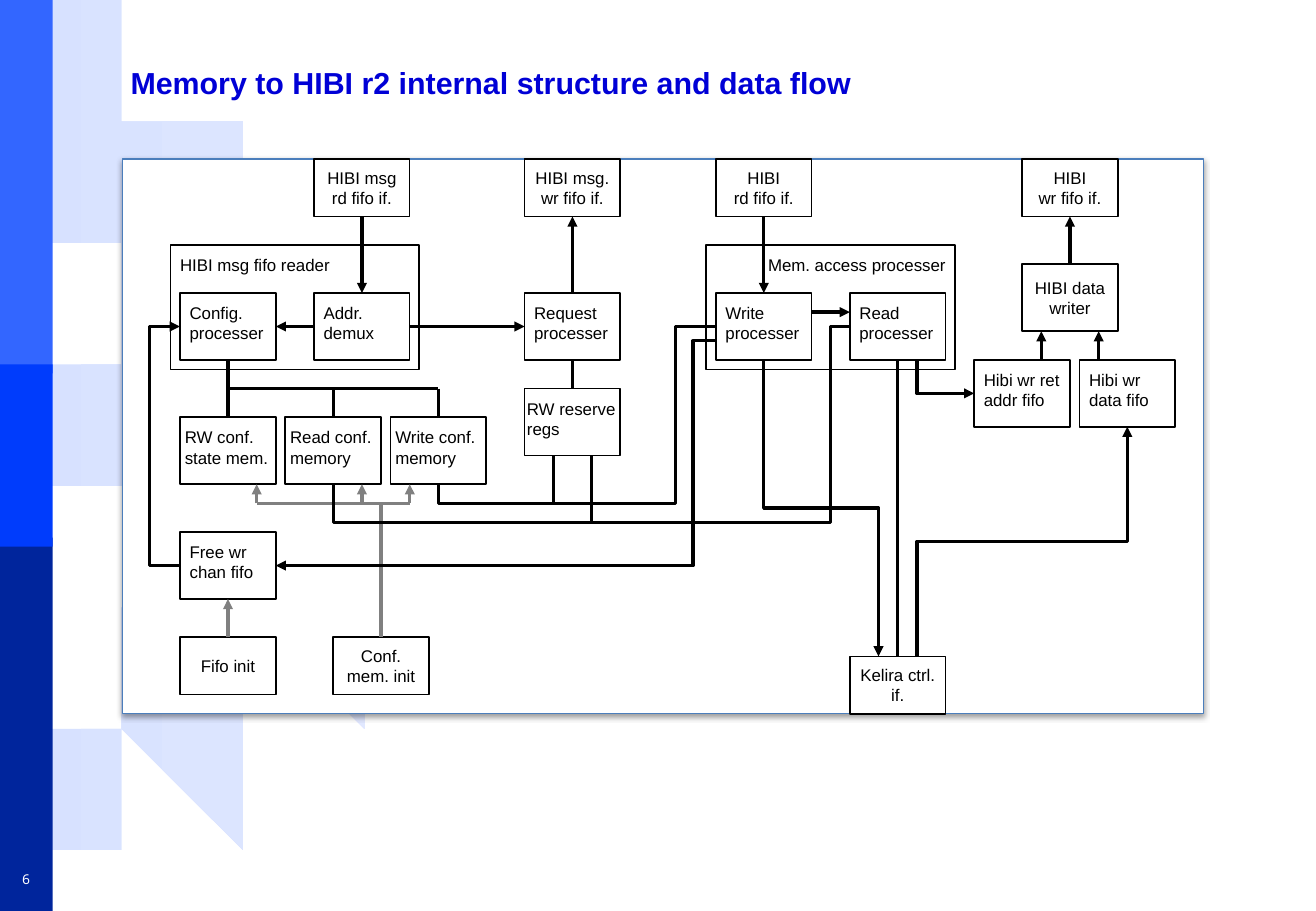
from dataclasses import dataclass

from lxml.etree import SubElement
from pptx import Presentation
from pptx.dml.color import RGBColor as RGB
from pptx.enum.shapes import MSO_CONNECTOR as CONN, MSO_SHAPE as SHAPE
from pptx.enum.text import MSO_ANCHOR as ANCHOR, MSO_AUTO_SIZE as AUTO, PP_ALIGN as ALIGN
from pptx.oxml.ns import qn
from pptx.util import Emu, Inches, Mm, Pt


@dataclass(frozen=True)
class Theme:
    font: str = "Arial"
    mono: str = "Noto Sans Mono"
    title_size: float = 18
    label_size: float = 10
    page_size: float = 8
    title: str = "0000D6"
    ink: str = "000000"
    init: str = "808080"
    paper: str = "FFFFFF"
    panel_line: str = "4B7EBC"
    gear: tuple = ("D7E1FF", "E3EAFF")
    stripes: tuple = ("3366FF", "00259C", "003CFC")


class Deck:
    """Style, current slide and the diagram grid: 2 mm cells from the panel corner."""
    CELL, LEFT, TOP = Mm(2), Inches(1.01), Inches(1.31)

    def __init__(self, prs, theme):
        self.prs, self.th = prs, theme
        self.s = prs.slides.add_slide(prs.slide_layouts[5])

    def x(self, col):
        return Emu(round(self.LEFT + col * self.CELL))

    def y(self, row):
        return Emu(round(self.TOP + row * self.CELL))

    def share(self, left, top, width, height):
        w, h = self.prs.slide_width, self.prs.slide_height
        return [Emu(round(v)) for v in (left * w, top * h, width * w, height * h)]

    def label(self, sp, lines, size, color, font=None, bold=False, align=ALIGN.LEFT, inset=None, **frame):
        tf = sp.text_frame
        if inset is not None:
            across, down = inset, min(1, inset * 4)
            for side, cells in dict(left=across, right=across, top=down, bottom=down).items():
                frame[f"margin_{side}"] = Emu(round(cells * self.CELL))
        for name, value in frame.items():
            setattr(tf, name, value)
        for i, line in enumerate(lines.split("\n")):
            p = tf.paragraphs[0] if i == 0 else tf.add_paragraph()
            p.alignment = align
            r = p.add_run()
            r.text = line
            for name, value in dict(name=font or self.th.font, size=Pt(size), bold=bold).items():
                setattr(r.font, name, value)
            r.font.color.rgb = RGB.from_string(color)

    def title(self, text):
        sp = self.s.shapes.title
        for name, value in zip(("left", "top", "width", "height"), self.share(.09, .03, .87, .12)):
            setattr(sp, name, value)
        self.label(sp, text, self.th.title_size, self.th.title, bold=True,
                   vertical_anchor=ANCHOR.MIDDLE, auto_size=AUTO.NONE)
        self.s.shapes._spTree.append(sp._element)  # in front of the gear

    def page_number(self, text):
        sp = self.s.shapes.add_textbox(*self.share(0, .95, .04, .03))
        self.label(sp, text, self.th.page_size, self.th.paper, font=self.th.mono,
                   align=ALIGN.CENTER, vertical_anchor=ANCHOR.MIDDLE, word_wrap=False)

    def rect(self, area, fill, line=None, weight=1):
        sp = self.s.shapes.add_shape(SHAPE.RECTANGLE, *area)
        sp.shadow.inherit = False
        sp.fill.solid()
        sp.fill.fore_color.rgb = RGB.from_string(fill)
        if line:
            sp.line.color.rgb = RGB.from_string(line)
            sp.line.width = Pt(weight)
        else:
            sp.line.fill.background()
        return sp

    def cells(self, col, row, cols, rows):
        return self.x(col), self.y(row), self.CELL * cols, self.CELL * rows

    def panel(self, cols, rows):
        sp = self.rect(self.cells(0, 0, cols, rows), self.th.paper, self.th.panel_line, .75)
        effects = sp._element.spPr.find(qn("a:effectLst"))
        shadow = SubElement(effects, qn("a:outerShdw"), blurRad="40000", dist="20000", dir="5400000", rotWithShape="0")
        color = SubElement(shadow, qn("a:srgbClr"), val=self.th.ink)
        SubElement(color, qn("a:alpha"), val="38000")

    def box(self, text, col, row, cols=10, rows=7, inset=1, align=ALIGN.LEFT, anchor=ANCHOR.TOP, wrap=True):
        sp = self.rect(self.cells(col, row, cols, rows), self.th.paper, self.th.ink)
        self.label(sp, text, self.th.label_size, self.th.ink, align=align, inset=inset,
                   vertical_anchor=anchor, word_wrap=wrap)

    def gear(self, half, height):
        points = half + [(x, height - y) for x, y in reversed(half)]
        builder = self.s.shapes.build_freeform(*points[0], scale=Inches(1))
        builder.add_line_segments(points[1:], close=True)
        sp = builder.convert_to_shape()
        sp.shadow.inherit = False
        sp.line.fill.background()
        sp.fill.gradient()
        sp.fill.gradient_angle = 0
        for stop, color in zip(sp.fill.gradient_stops, self.th.gear):
            stop.color.rgb = RGB.from_string(color)

    def flow(self, a, b, arrow=True, color=None, kind=CONN.STRAIGHT):
        c = self.s.shapes.add_connector(kind, self.x(a[0]), self.y(a[1]), self.x(b[0]), self.y(b[1]))
        c.line.color.rgb = RGB.from_string(color or self.th.ink)
        c.line.width = Pt(2)
        if arrow:
            SubElement(c._element.spPr.find(qn("a:ln")), qn("a:tailEnd"), type="triangle")
        SubElement(c._element.spPr, qn("a:effectLst"))
        return c

    def elbow(self, a, b, via, turns=0, arrow=True):
        """Bent line leaving a after quarter turns; via lists where each bend lies."""
        dx, dy = b[0] - a[0], b[1] - a[1]
        u, v = [(dx, dy), (dy, -dx), (-dx, -dy), (-dy, dx)][turns]
        mx, my = (a[0] + b[0]) / 2, (a[1] + b[1]) / 2
        c = self.flow((mx - u / 2, my - v / 2), (mx + u / 2, my + v / 2), arrow, kind=CONN.ELBOW)
        sppr = c._element.spPr
        sppr.find(qn("a:xfrm")).set("rot", str(turns * 5400000))
        geom = sppr.find(qn("a:prstGeom"))
        geom.set("prst", f"bentConnector{len(via) + 2}")
        guides = geom.find(qn("a:avLst"))
        for i, bend in enumerate(via):
            axis = (turns + i) % 2
            share = (bend - a[axis]) / (b[axis] - a[axis])
            SubElement(guides, qn("a:gd"), name=f"adj{i + 1}", fmla=f"val {round(share * 100000)}")


prs = Presentation()
prs.slide_width, prs.slide_height = Inches(10.83), Inches(7.5)
th = Theme()
d = Deck(prs, th)

# Background gear (upper half, mirrored below) and side stripes
GEAR = [(0, 2.99), (1.73, 2.99), (1.67, 2.86), (1.6, 2.76), (1.55, 2.64), (1.47, 2.53), (1.39, 2.42),
        (1.3, 2.34), (1.19, 2.26), (1.11, 2.16), (1, 2.09), (.89, 2.01), (.78, 1.96), (.65, 1.91),
        (.54, 1.86), (.42, 1.81), (.28, 1.8), (.14, 1.76), (.14, 0), (.29, .01), (.42, .03), (.55, .05),
        (.7, .08), (.7, .88), (.87, .93), (1, .99), (1.14, 1.04), (1.28, 1.12), (1.86, .55), (1.99, .62),
        (2.08, .7), (2.19, .77), (2.32, .85), (1.92, 1.57), (2.06, 1.69), (2.15, 1.8), (2.25, 1.92),
        (2.36, 2.05), (3.14, 1.8), (3.2, 1.92), (3.27, 2.04), (3.33, 2.14), (3.38, 2.27), (2.73, 2.73),
        (2.75, 2.91), (2.81, 3.05), (2.83, 3.2), (2.86, 3.34), (3.67, 3.47), (3.7, 3.59)]
d.gear(GEAR, 7.48)
for (top, height), color in zip(((0, .41), (.59, .41), (.4, .2)), th.stripes):
    d.rect(d.share(0, top, .04, height), color)
d.title("Memory to HIBI r2 internal structure and data flow")
d.page_number("6")

# Panel and group frames
d.panel(113, 58)
d.box("HIBI msg fifo reader", 5, 9, 26, 13)
d.box("Mem. access processer", 61, 9, 26, 13, align=ALIGN.RIGHT)

# Interfaces on the top edge
MID = dict(align=ALIGN.CENTER, anchor=ANCHOR.MIDDLE)
for text, col in (("HIBI msg\nrd fifo if.", 20), ("HIBI msg.\nwr fifo if.", 42),
                  ("HIBI\nrd fifo if.", 62), ("HIBI\nwr fifo if.", 94)):
    d.box(text, col, 0, rows=6, inset=0, wrap=False, **MID)

# Processing blocks, fifos and memories
for text, col, row in (("Config. processer", 6, 14), ("Addr. demux", 20, 14), ("Request processer", 42, 14),
                       ("Write processer", 62, 14), ("Read processer", 76, 14), ("Free wr chan fifo", 6, 39),
                       ("Hibi wr ret addr fifo", 89, 21), ("Hibi wr data fifo", 100, 21)):
    d.box(text, col, row)
for text, col in (("RW conf. state mem.", 6), ("Read conf. memory", 17), ("Write conf. memory", 28)):
    d.box(text, col, 27, inset=.5)
d.box("RW reserve regs", 42, 24, inset=.25)
for text, col, row, rows in (("HIBI data writer", 94, 11, 7), ("Fifo init", 6, 50, 6),
                             ("Conf. mem. init", 22, 50, 6), ("Kelira ctrl. if.", 76, 52, 6)):
    d.box(text, col, row, rows=rows, **MID)

# Initialisation flows
for a, b, arrow in (((11, 50), (11, 46), True), ((27, 36), (27, 50), False), ((30, 36), (14, 36), False),
                    *(((col, 36), (col, 34), True) for col in (14, 25, 30))):
    d.flow(a, b, arrow, th.init)

# Straight data flows: arrows, then plain links
for a, b in (((25, 6), (25, 14)), ((47, 14), (47, 6)), ((67, 6), (67, 14)), ((99, 11), (99, 6)),
             ((20, 17.5), (16, 17.5)), ((30, 17.5), (42, 17.5)), ((72, 16), (76, 16)),
             ((96, 21), (96, 18)), ((102, 21), (102, 18))):
    d.flow(a, b)
for a, b in (((11, 21), (11, 27)), ((11, 24), (33, 24)), ((22, 24), (22, 27)), ((33, 24), (33, 27)),
             ((47, 21), (47, 24)), ((45, 31), (45, 36)), ((49, 31), (49, 38)), ((81, 21), (81, 52))):
    d.flow(a, b, arrow=False)

# Bent data flows
d.elbow((6, 42.5), (5.98, 17.5), [2.8], turns=2)
d.elbow((83, 52), (105, 28), [40], turns=1)
d.elbow((83, 21), (89, 24.5), [83])
d.elbow((67, 21), (79, 52), [36.5], turns=3)
d.elbow((62, 17.5), (33, 34), [57.8, 36], turns=2, arrow=False)
d.elbow((76, 17.5), (22, 34), [74, 38], turns=2, arrow=False)
d.elbow((62, 19), (16, 42.5), [59.6], turns=2)

prs.save("out.pptx")
